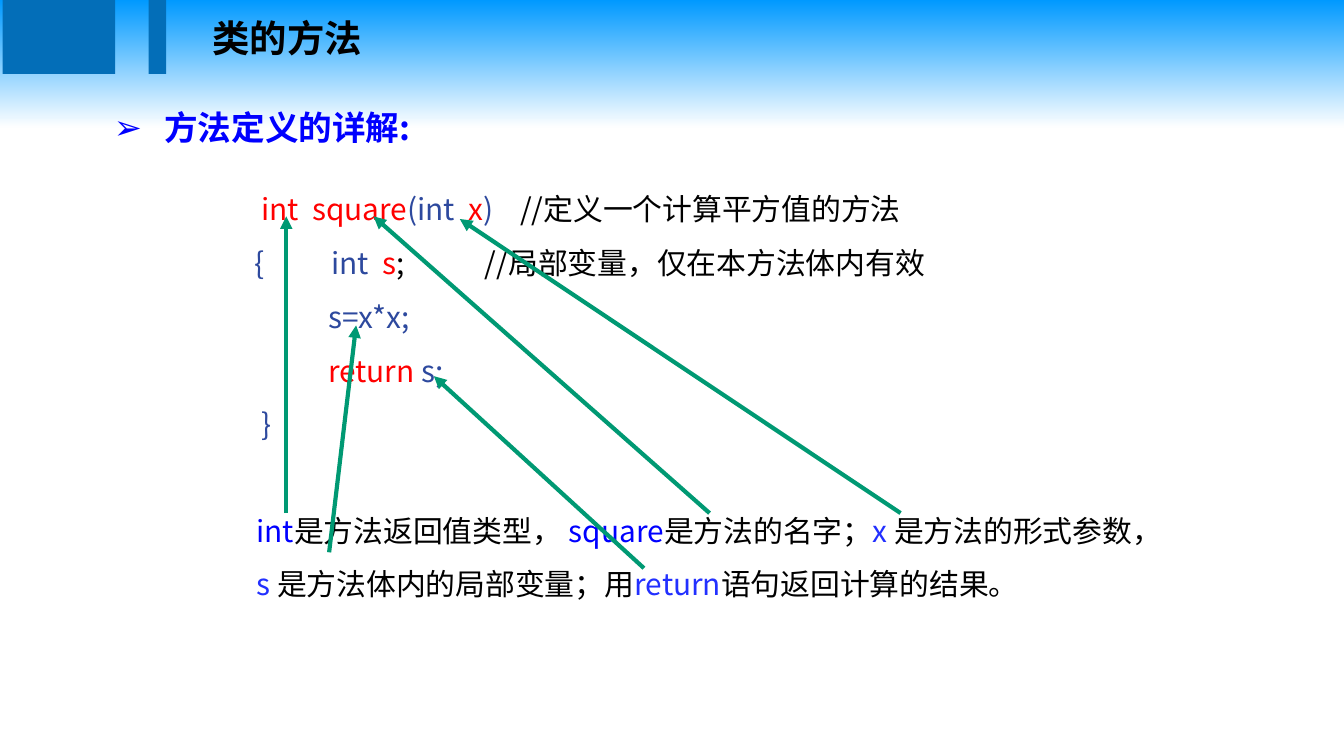
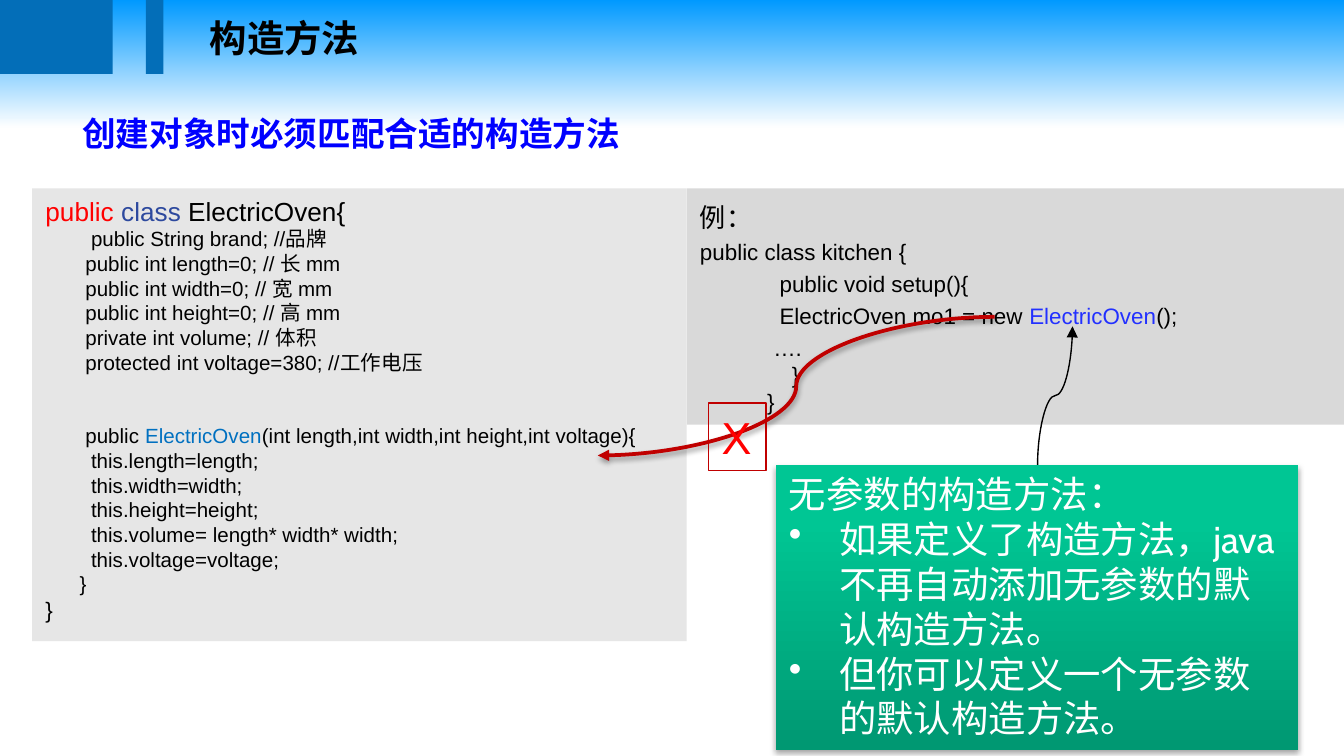
from copy import deepcopy
from dataclasses import dataclass

from lxml.etree import SubElement
from pptx import Presentation
from pptx.dml.color import RGBColor
from pptx.enum.shapes import MSO_CONNECTOR as Link, MSO_SHAPE as Shape
from pptx.enum.text import MSO_ANCHOR as Anchor, MSO_AUTO_SIZE as AutoSize, PP_ALIGN as Align
from pptx.oxml.ns import qn
from pptx.util import Cm, Pt


@dataclass(frozen=True)
class Theme:
    """Colours, fonts and type sizes shared by the slides."""
    sky: str = "0099FF"
    white: str = "FFFFFF"
    black: str = "000000"
    band: str = "036EB8"
    heading: str = "0000FF"
    accent: str = "2230FF"
    keyword: str = "2D499E"
    constructor: str = "0070C0"
    red: str = "FF0000"
    dark_red: str = "C00000"
    arrow: str = "009973"
    light_grey: str = "E6E6E6"
    mid_grey: str = "D9D9D9"
    note: tuple = ((0, "009872"), (0.8, "00C694"), (1, "00C795"))
    sans: str = "Noto Sans CJK SC"
    code: str = "Arial"
    rounded: str = "Cabin"
    title_size: float = 20
    heading_size: float = 18
    text_size: float = 16
    lead_size: float = 14
    code_size: float = 12
    small_size: float = 11
    cross_size: float = 24


@dataclass(frozen=True)
class Style:
    """Type settings for one paragraph."""
    font: str
    size: float
    colour: str
    bold: bool = False
    spacing: float = 1
    left: float = 0
    bullet: str = ""
    before: float = 0


THEME = Theme()
TITLE = Style(THEME.sans, THEME.title_size, THEME.black, bold=True)
HEADING = Style(THEME.sans, THEME.heading_size, THEME.heading, bold=True, spacing=1.2)
BULLET_HEADING = Style(THEME.sans, THEME.heading_size, THEME.heading, bold=True,
                       spacing=1.2, left=0.95, bullet="➢")
TEXT = Style(THEME.sans, THEME.text_size, THEME.black, spacing=1.5)
LEAD = Style(THEME.code, THEME.lead_size, THEME.black)
SMALL = Style(THEME.code, THEME.small_size, THEME.black)
SMALL_APART = Style(THEME.code, THEME.small_size, THEME.black, before=26.4)
CODE = Style(THEME.code, THEME.code_size, THEME.black)
CODE_INDENTED = Style(THEME.code, THEME.code_size, THEME.black, left=1.27)
LOOSE_LEAD = Style(THEME.code, THEME.lead_size, THEME.black, spacing=1.2)
LOOSE_CODE = Style(THEME.code, THEME.code_size, THEME.black, spacing=1.2)
LOOSE_INDENTED = Style(THEME.code, THEME.code_size, THEME.black, spacing=1.2, left=1.27)
CROSS = Style(THEME.code, THEME.cross_size, THEME.red)
NOTE = Style(THEME.rounded, THEME.title_size, THEME.white)
NOTE_BULLET = Style(THEME.rounded, THEME.title_size, THEME.white, left=0.95, bullet="•")


def rgb(colour):
    """Turn a hex string into a colour."""
    return RGBColor.from_string(colour)


def paint_gradient(fill, element, stops, angle):
    """Fill with a linear gradient of the given stops."""
    fill.gradient()
    fill.gradient_angle = angle
    stop_list = element.find(".//" + qn("a:gsLst"))
    for _ in stops[2:]:
        stop_list.append(deepcopy(stop_list[-1]))
    for stop, (position, colour) in zip(fill.gradient_stops, stops):
        stop.position = position
        stop.color.rgb = rgb(colour)


def set_effects(shape, alpha=0, distance=0):
    """Replace the theme effects by nothing or by a soft shadow below."""
    properties = shape.element.spPr
    for old in properties.findall(qn("a:effectLst")):
        properties.remove(old)
    effects = SubElement(properties, qn("a:effectLst"))
    if alpha:
        shadow = SubElement(effects, qn("a:outerShdw"), blurRad=str(Pt(3.1)),
                            dist=str(Pt(distance)), dir="5400000", rotWithShape="0")
        colour = SubElement(shadow, qn("a:srgbClr"), val=THEME.black)
        SubElement(colour, qn("a:alpha"), val=str(alpha * 1000))


def write(frame, lines, wrap=True):
    """Write (style, span, ...) lines; a span is text or (text, colour)."""
    frame.auto_size = AutoSize.NONE
    frame.word_wrap = wrap
    frame.vertical_anchor = Anchor.TOP
    for number, (style, *spans) in enumerate(lines):
        para = frame.add_paragraph() if number else frame.paragraphs[0]
        properties = para._p.get_or_add_pPr()
        properties.set("marL", str(Cm(style.left)))
        properties.set("indent", str(-Cm(style.left) if style.bullet else 0))
        if style.bullet:
            SubElement(properties, qn("a:buChar"), char=style.bullet)
        else:
            SubElement(properties, qn("a:buNone"))
        para.alignment = Align.LEFT
        para.line_spacing = style.spacing
        para.space_before = Pt(style.before)
        para.font.name = style.font
        para.font.size = Pt(style.size)
        para.font.bold = style.bold
        para.font.color.rgb = rgb(style.colour)
        latin = properties.find(".//" + qn("a:latin"))
        east_asian = SubElement(latin.getparent(), qn("a:ea"), typeface=THEME.sans)
        latin.addnext(east_asian)
        for span in spans:
            text, colour = (span, None) if isinstance(span, str) else span
            run = para.add_run()
            run.text = text
            if colour:
                run.font.color.rgb = rgb(colour)


class Lecture:
    """Holds the deck and the slide being built."""

    def __init__(self):
        self.deck = Presentation()
        self.deck.slide_width, self.deck.slide_height = Cm(25.4), Cm(14.29)
        master = self.deck.slide_master
        paint_gradient(master.background.fill, master.element,
                       ((0, THEME.sky), (0.17, THEME.white)), 270)
        self.page = None

    def add_page(self, title, heading, heading_style, heading_at, shift=0):
        """Start a slide with its bands, title and heading."""
        self.page = self.deck.slides.add_slide(self.deck.slide_layouts[1])
        for left, width in ((0, 2.13), (2.76, 0.33)):
            self.add_panel((left + shift, 0, width, 1.4), THEME.band)
        body = self.page.placeholders[1]
        self.place(self.page.shapes.title, (3.71 + shift, 0.15, 11.18, 1.12))
        self.place(body, heading_at)
        write(self.page.shapes.title.text_frame, [(TITLE, title)])
        write(body.text_frame, [(heading_style, heading)])

    def place(self, shape, at):
        """Move and size a shape."""
        shape.left, shape.top, shape.width, shape.height = map(Cm, at)

    def add_panel(self, at, fill, lines=()):
        """Add a rectangle with a plain or gradient fill."""
        panel = self.page.shapes.add_shape(Shape.RECTANGLE, *map(Cm, at))
        panel.shadow.inherit = False
        panel.line.fill.background()
        if isinstance(fill, str):
            panel.fill.solid()
            panel.fill.fore_color.rgb = rgb(fill)
        else:
            paint_gradient(panel.fill, panel.element, fill, 90)
        write(panel.text_frame, lines)
        return panel

    def add_text(self, at, lines, outline=None, wrap=True):
        """Add a text box, outlined if a colour is given."""
        box = self.page.shapes.add_textbox(*map(Cm, at))
        if outline:
            box.line.color.rgb = rgb(outline)
            box.line.width = Pt(0.75)
        write(box.text_frame, lines, wrap)

    def add_arrow(self, start, end, colour, width, kind=Link.STRAIGHT, upright=False):
        """Add an arrow; an upright curve leaves its start vertically."""
        if upright:
            middle_x, middle_y = (start[0] + end[0]) / 2, (start[1] + end[1]) / 2
            start, end = ((middle_x + y - middle_y, middle_y - x + middle_x)
                          for x, y in (start, end))
        arrow = self.page.shapes.add_connector(kind, *map(Cm, (*start, *end)))
        if upright:
            arrow.element.spPr.find(qn("a:xfrm")).set("rot", "5400000")
        arrow.line.color.rgb = rgb(colour)
        arrow.line.width = Pt(width)
        SubElement(arrow.element.spPr.find(qn("a:ln")), qn("a:tailEnd"), type="triangle")
        set_effects(arrow)
        return arrow


def build_method_page(lecture):
    """Explain the parts of a method definition."""
    red, blue = THEME.red, THEME.keyword
    lecture.add_page("类的方法", "方法定义的详解:", BULLET_HEADING,
                     (1.9, 1.75, 8.79, 1.09), shift=0.05)
    lecture.add_text((4.57, 3.15, 14.94, 5.38), [
        (TEXT, (" int  square", red), ("(int  ", blue), ("x", red), (")    ", blue),
         "//定义一个计算平方值的方法"),
        (TEXT, ("{          int  ", blue), ("s", red),
         ";            //局部变量，仅在本方法体内有效"),
        (TEXT, ("           s=x*x;", blue)),
        (TEXT, ("           return", red), (" s;", blue)),
        (TEXT, (" }", blue)),
    ])
    lecture.add_text((4.6, 9.22, 17.3, 2.31), [
        (TEXT, ("int", THEME.heading), "是方法返回值类型， ", ("square", THEME.heading),
         "是方法的名字；", ("x ", THEME.accent), "是方法的形式参数，", ("s ", THEME.accent),
         "是方法体内的局部变量；用", ("return", THEME.accent), "语句返回计算的结果。"),
    ])
    for start, end in (((5.41, 9.7), (5.41, 4.09)), ((13.41, 9.7), (7.06, 4.09)),
                       ((17.02, 9.7), (8.69, 4.14)), ((12.17, 10.74), (8.2, 7.11)),
                       ((6.22, 10.44), (6.73, 6.15))):
        lecture.add_arrow(start, end, THEME.arrow, 2.25)


def build_constructor_page(lecture):
    """Show a constructor call that matches no definition."""
    lecture.add_page("构造方法", "创建对象时必须匹配合适的构造方法", HEADING,
                     (1.3, 1.85, 16.99, 1.09))
    fields = ("public int length=0; // 长 mm", "public int width=0; // 宽 mm",
              "public int height=0; // 高 mm", "private int volume; // 体积",
              "protected int voltage=380; //工作电压")
    assignments = ("length=length;", "width=width;", "height=height;",
                   "volume= length* width* width;", "voltage=voltage;")
    lecture.add_panel((0.61, 3.56, 12.37, 8.56), THEME.light_grey, [
        (LEAD, ("public ", THEME.red), ("class ", THEME.keyword), "ElectricOven{"),
        (SMALL, "        public String brand; //品牌"),
        *((SMALL, "       " + field) for field in fields),
        (SMALL_APART, "       public ", ("ElectricOven", THEME.constructor),
         "(int length,int width,int height,int voltage){"),
        *((SMALL, "        this." + assignment) for assignment in assignments),
        (SMALL, "      }"),
        (CODE, "}"),
    ])
    lecture.add_panel((12.98, 3.56, 12.73, 4.47), THEME.mid_grey, [
        (LOOSE_LEAD, "例："),
        (LOOSE_CODE, "public class kitchen {"),
        (LOOSE_INDENTED, "  public void setup(){"),
        (LOOSE_INDENTED, "  ElectricOven mo1 = new ", ("ElectricOven", THEME.accent), "();"),
        (LOOSE_INDENTED, " …."),
        (CODE_INDENTED, "    }"),
        (CODE_INDENTED, "}"),
    ])
    note = lecture.add_panel((14.66, 8.79, 9.88, 5.38), THEME.note, [
        (NOTE, "无参数的构造方法："),
        (NOTE_BULLET, "如果定义了构造方法，java不再自动添加无参数的默认构造方法。"),
        (NOTE_BULLET, "但你可以定义一个无参数的默认构造方法。"),
    ])
    set_effects(note, 35, 1.8)
    mismatch = lecture.add_arrow((18.8, 5.99), (11.3, 8.61), THEME.dark_red, 2, Link.CURVE)
    set_effects(mismatch, 38, 1.6)
    lecture.add_text((13.39, 7.62, 1.09, 1.27), [(CROSS, "X")], THEME.dark_red, wrap=False)
    lecture.add_arrow((19.61, 8.79), (20.27, 6.17), THEME.black, 0.75, Link.CURVE, upright=True)


def main():
    """Build both slides and save the deck."""
    lecture = Lecture()
    build_method_page(lecture)
    build_constructor_page(lecture)
    lecture.deck.save("out.pptx")


if __name__ == "__main__":
    main()
